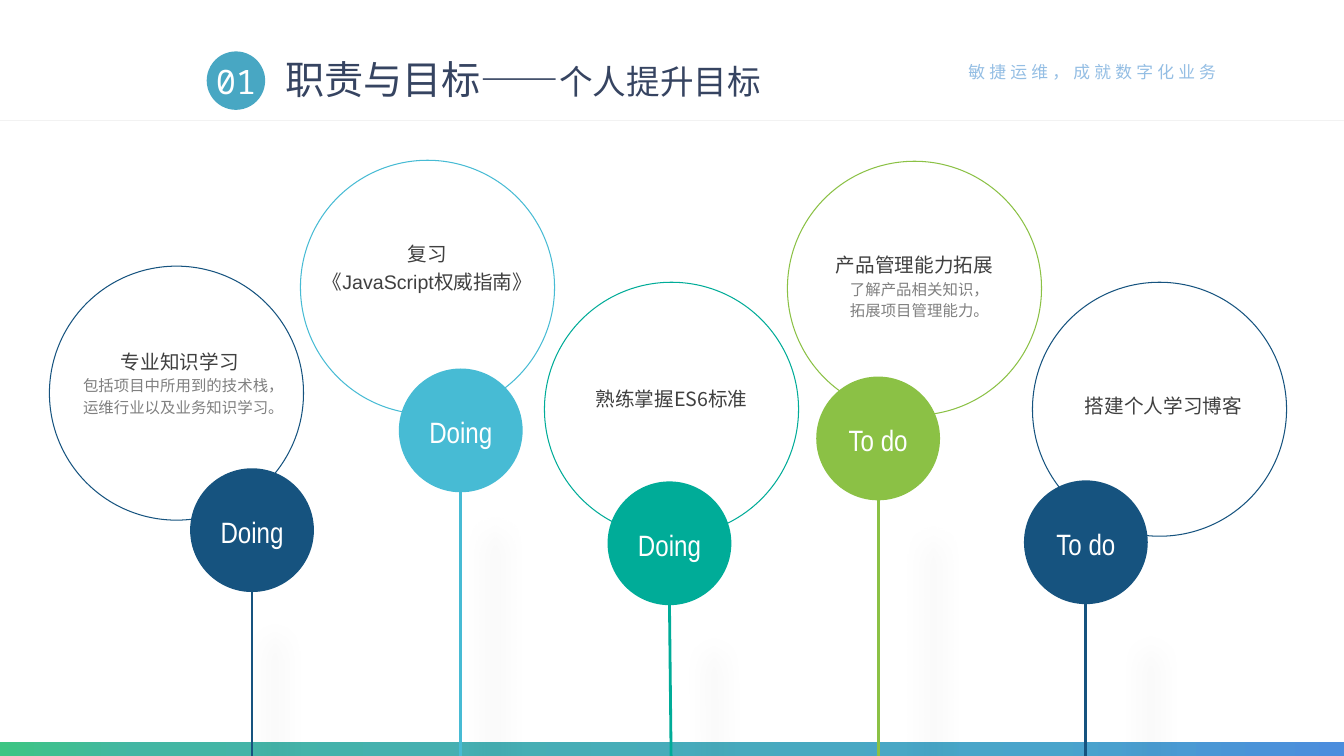
from lxml import etree
from pptx import Presentation
from pptx.dml.color import RGBColor
from pptx.enum.shapes import MSO_CONNECTOR, MSO_SHAPE
from pptx.enum.text import MSO_ANCHOR, PP_ALIGN
from pptx.oxml.ns import qn
from pptx.util import Inches, Pt

OVAL, RECTANGLE = MSO_SHAPE.OVAL, MSO_SHAPE.RECTANGLE
STRAIGHT = MSO_CONNECTOR.STRAIGHT
LEFT, CENTER = PP_ALIGN.LEFT, PP_ALIGN.CENTER
TOP, MIDDLE = MSO_ANCHOR.TOP, MSO_ANCHOR.MIDDLE

THEME = {
    "navy": "16537F", "sky": "47BBD4", "teal": "00AC98", "green": "8BC145",
    "title": "364461", "number": "48A7C3", "slogan": "94BEE4", "rule": "F2F2F2",
    "heading": "404040", "detail": "808080", "white": "FFFFFF", "shadow": "0D0D0D",
    "footer": [(0, "3DC583"), (10, "43B6A3"), (78, "49A4CB"), (100, "4B8DDD")],
    "cjk": "Noto Sans CJK SC", "latin": "Arial", "narrow": "Arial Narrow",
    "mono": "Noto Sans Mono",
    "title_size": 28, "subtitle_size": 24, "number_size": 24, "slogan_size": 12,
    "heading_size": 14, "detail_size": 11, "status_size": 21,
}

SLOGAN = "敏捷运维，成就数字化业务"
TITLE = "职责与目标——"
SUBTITLE = "个人提升目标"
NUMBER = "01"

GOALS = [
    {"color": "navy", "ring": (0.49, 2.64), "badge": (1.9, 4.66), "status": "Doing",
     "text": (0.63, 3.47, 2.31, 0.9), "headings": ["专业知识学习"], "indent": 0.07,
     "details": ["包括项目中所用到的技术栈，", "运维行业以及业务知识学习。"]},
    {"color": "sky", "ring": (2.98, 1.59), "badge": (3.97, 3.67), "status": "Doing",
     "text": (3.2, 2.4, 2.08, 0.8), "headings": ["复习", "《JavaScript权威指南》"],
     "font": "latin"},
    {"color": "teal", "ring": (5.4, 2.8), "badge": (6.04, 4.79), "status": "Doing",
     "text": (5.62, 3.84, 2.08, 0.52), "headings": ["熟练掌握ES6标准"], "lean": 0.02},
    {"color": "green", "ring": (7.81, 1.6), "badge": (8.11, 3.75), "status": "To do",
     "text": (8.03, 2.51, 2.08, 0.68), "headings": ["产品管理能力拓展"], "indent": 0.1,
     "details": ["了解产品相关知识，", "拓展项目管理能力。"]},
    {"color": "navy", "ring": (10.24, 2.8), "badge": (10.17, 4.78), "status": "To do",
     "text": (10.5, 3.91, 2.08, 0.52), "headings": ["搭建个人学习博客"]},
]

SLIDE_WIDTH, SLIDE_HEIGHT = 13.33, 7.5
NUMBER_AREA = (2.05, 0.51, 0.58, 0.58)
RING_SIZE, BADGE_SIZE, STEM_END = 2.52, 1.2, 7.85
STATUS_WIDTH, STATUS_HEIGHT, STATUS_DROP = 0.97, 0.49, 0.37


def rgb(name):
    return RGBColor.from_string(THEME[name])


def add_shape(page, kind, left, top, width, height, fill=None, line=None, weight=1):
    shape = page.shapes.add_shape(kind, *map(Inches, (left, top, width, height)))
    shape.shadow.inherit = False
    if fill:
        shape.fill.solid()
        shape.fill.fore_color.rgb = rgb(fill)
    else:
        shape.fill.background()
    if line:
        shape.line.color.rgb = rgb(line)
        shape.line.width = Pt(weight)
    else:
        shape.line.fill.background()
    return shape


def add_line(page, start, end, color, weight, shadow=False):
    line = page.shapes.add_connector(STRAIGHT, *map(Inches, start + end))
    line.line.color.rgb = rgb(color)
    line.line.width = Pt(weight)
    effects = etree.SubElement(line._element.spPr, qn("a:effectLst"))
    if shadow:
        outer = etree.SubElement(
            effects, qn("a:outerShdw"), blurRad=str(Pt(20)), dist=str(Pt(15)),
            dir=str(59 * 60000), sx="105000", sy="105000", algn="tl", rotWithShape="0")
        tint = etree.SubElement(outer, qn("a:srgbClr"), val=THEME["shadow"])
        etree.SubElement(tint, qn("a:alpha"), val="20000")


def add_text(page, area, paragraphs, font="cjk", align=LEFT, anchor=TOP, wrap=True,
             insets=(0.1, 0.05), line_spacing=None, space_before=0, tracking=0):
    box = page.shapes.add_textbox(*map(Inches, area))
    frame = box.text_frame
    frame.word_wrap = wrap
    frame.vertical_anchor = anchor
    frame.margin_left = frame.margin_right = Inches(insets[0])
    frame.margin_top = frame.margin_bottom = Inches(insets[1])
    for index, (indent, spans) in enumerate(paragraphs):
        para = frame.add_paragraph() if index else frame.paragraphs[0]
        para.alignment = align
        if line_spacing:
            para.line_spacing = line_spacing
        if index and space_before:
            para.space_before = Pt(space_before)
        if indent:
            para._p.get_or_add_pPr().set("marL", str(Inches(indent)))
        for text, size, color in spans:
            span = para.add_run()
            span.text = text
            span.font.size = Pt(THEME[size])
            span.font.color.rgb = rgb(color)
            span.font.name = THEME[font]
            properties = span._r.get_or_add_rPr()
            etree.SubElement(properties, qn("a:ea"), typeface=THEME[font])
            if tracking:
                properties.set("spc", str(tracking * 100))


def add_footer(page):
    bar = add_shape(page, RECTANGLE, 0, 7.36, SLIDE_WIDTH, 0.16)
    bar.fill.gradient()
    bar.fill.gradient_angle = 0
    stops = bar._element.spPr.find(qn("a:gradFill")).find(qn("a:gsLst"))
    for stop in list(stops):
        stops.remove(stop)
    for position, color in THEME["footer"]:
        stop = etree.SubElement(stops, qn("a:gs"), pos=str(position * 1000))
        etree.SubElement(stop, qn("a:srgbClr"), val=color)


def add_header(page):
    add_line(page, (0, 1.19), (SLIDE_WIDTH, 1.19), "rule", 0.5)
    add_text(page, (9.2, 0.56, 3.27, 0.3), [(0, [(SLOGAN, "slogan_size", "slogan")])],
             align=CENTER, tracking=3)
    add_text(page, (2.73, 0.44, 6.19, 0.75),
             [(0, [(TITLE, "title_size", "title"), (SUBTITLE, "subtitle_size", "title")])],
             anchor=MIDDLE, line_spacing=0.9)
    add_shape(page, OVAL, *NUMBER_AREA, fill="number")
    add_text(page, NUMBER_AREA, [(0, [(NUMBER, "number_size", "white")])],
             font="mono", align=CENTER, anchor=MIDDLE, wrap=False, insets=(0, 0))


def add_badge(page, goal):
    left, top = goal["badge"]
    middle, bottom = left + BADGE_SIZE / 2, top + BADGE_SIZE
    add_line(page, (middle, bottom), (middle + goal.get("lean", 0), STEM_END),
             goal["color"], 2, shadow=True)
    add_shape(page, OVAL, left, top, BADGE_SIZE, BADGE_SIZE,
              fill=goal["color"], line=goal["color"], weight=2)


def add_goal_text(page, goal):
    paragraphs = [(0, [(text, "heading_size", "heading")]) for text in goal["headings"]]
    paragraphs += [(goal["indent"], [(text, "detail_size", "detail")])
                   for text in goal.get("details", [])]
    font = goal.get("font", "cjk")
    add_text(page, goal["text"], paragraphs, font=font, align=CENTER, insets=(0, 0),
             space_before=3 if font == "latin" else 2.2)
    left, top = goal["badge"]
    area = (left + (BADGE_SIZE - STATUS_WIDTH) / 2, top + STATUS_DROP,
            STATUS_WIDTH, STATUS_HEIGHT)
    add_text(page, area, [(0, [(goal["status"], "status_size", "white")])],
             font="narrow", align=CENTER, wrap=False, insets=(0.13, 0.07))


def main():
    deck = Presentation()
    deck.slide_width, deck.slide_height = Inches(SLIDE_WIDTH), Inches(SLIDE_HEIGHT)
    page = deck.slides.add_slide(deck.slide_layouts[6])
    add_footer(page)
    add_header(page)
    for goal in GOALS:
        add_shape(page, OVAL, *goal["ring"], RING_SIZE, RING_SIZE,
                  line=goal["color"], weight=0.75)
    for goal in GOALS:
        add_badge(page, goal)
    for goal in GOALS:
        add_goal_text(page, goal)
    deck.save("out.pptx")


if __name__ == "__main__":
    main()
